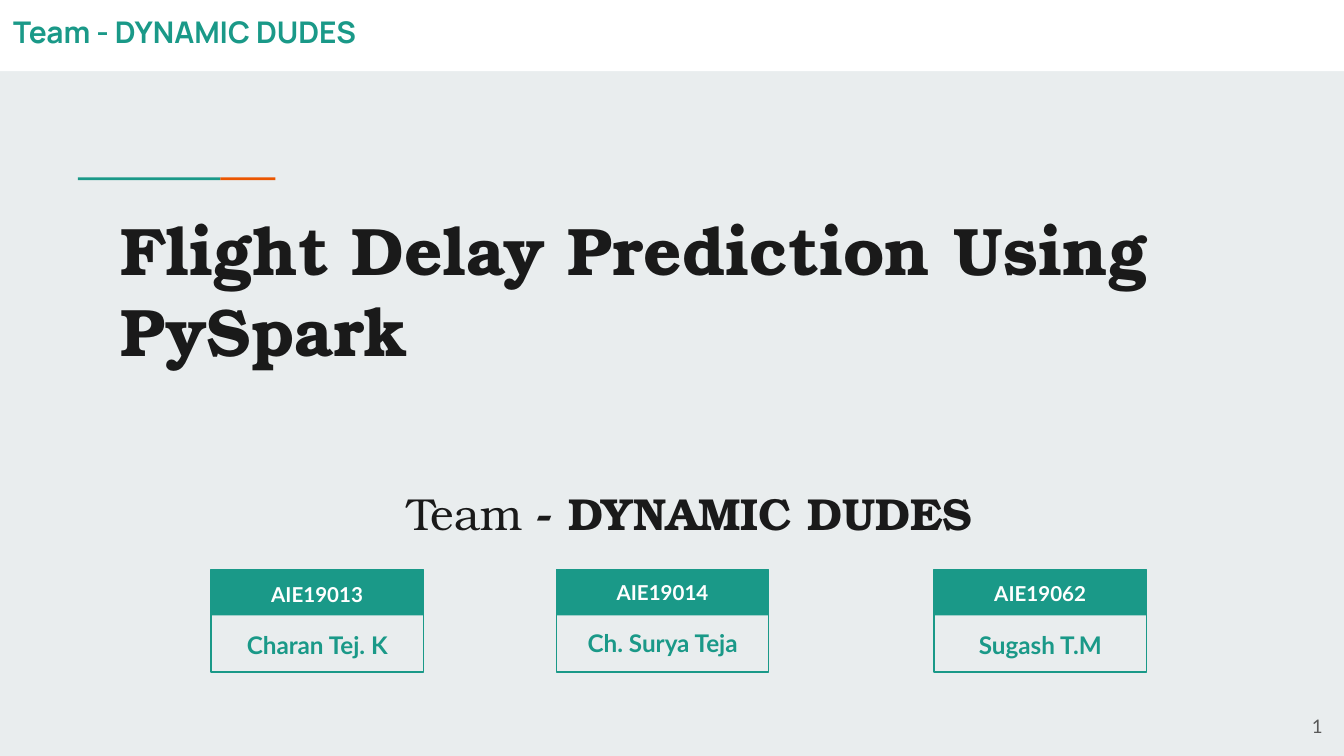
"""Build the title slide of a flight delay prediction project."""
from pptx import Presentation
from pptx.dml.color import RGBColor
from pptx.enum.shapes import MSO_SHAPE
from pptx.enum.text import MSO_ANCHOR, PP_ALIGN
from pptx.util import Inches, Pt

RECT = MSO_SHAPE.RECTANGLE
TOP, MIDDLE = MSO_ANCHOR.TOP, MSO_ANCHOR.MIDDLE
LEFT, CENTER, RIGHT = PP_ALIGN.LEFT, PP_ALIGN.CENTER, PP_ALIGN.RIGHT

TEAL, ORANGE, WHITE, INK, GREY = "1A9988", "EB5600", "FFFFFF", "1A1A1A", "595959"
SERIF, SANS, HEADING = "TeX Gyre Bonum", "Lato", "Manrope"

TEAM = "DYNAMIC DUDES"
BARS = [
    ((0, 0, 10, 0.53), WHITE),
    ((0.58, 1.32, 1.06, 0.02), TEAL),
    ((1.64, 1.32, 0.41, 0.02), ORANGE),
]
TEXTS = [
    ((0.8, 1.45, 8.41, 1.82), [("Flight Delay Prediction Using PySpark", True)],
     dict(name=SERIF, size=36, color=INK), {}),
    ((1.57, 3.56, 6.86, 0.56), [("Team ", False), (f"- {TEAM}", True)],
     dict(name=SERIF, size=24, color=INK),
     dict(align=CENTER, spacing=0.9, margins=dict(margin_left=0.36))),
    ((9.34, 5.19, 0.6, 0.43), [("1", False)],
     dict(name=SANS, size=10, color=GREY), dict(align=RIGHT, anchor=MIDDLE)),
    ((0, 0.05, 2.88, 0.37), [(f"Team - {TEAM}", True)],
     dict(name=HEADING, size=16, color=TEAL),
     dict(wrap=False, margins=dict(margin_top=0.05, margin_bottom=0.05))),
]
MEMBERS = [
    (1.57, "AIE19013", 4.32, "Charan Tej. K", 4.69),
    (4.14, "AIE19014", 4.3, "Ch. Surya Teja", 4.68),
    (6.95, "AIE19062", 4.31, "Sugash T.M", 4.69),
]
CARD_TOP, CARD_W, CARD_H, HEADER_H, LABEL_H = 4.24, 1.58, 0.76, 0.34, 0.21


def rgb(value):
    """Turn a hex string into a colour."""
    return RGBColor.from_string(value)


def add_text(s, box, runs, font, align=LEFT, anchor=TOP, spacing=None, wrap=True, margins=None):
    """Add a text box with one paragraph of (text, bold) runs."""
    tf = s.shapes.add_textbox(*map(Inches, box)).text_frame
    tf.word_wrap, tf.vertical_anchor = wrap, anchor
    sides = dict.fromkeys(("margin_left", "margin_top", "margin_right", "margin_bottom"), 0.1)
    for side, value in (sides | (margins or {})).items():
        setattr(tf, side, Inches(value))
    p = tf.paragraphs[0]
    p.alignment, p.line_spacing = align, spacing
    for text, bold in runs:
        r = p.add_run()
        r.text = text
        for key, value in dict(name=font["name"], size=Pt(font["size"]), bold=bold).items():
            setattr(r.font, key, value)
        r.font.color.rgb = rgb(font["color"])


def add_rect(s, box, fill=None, line=None):
    """Add a flat rectangle with an optional fill and outline."""
    sp = s.shapes.add_shape(RECT, *map(Inches, box))
    sp.shadow.inherit = False
    if fill:
        sp.fill.solid()
        sp.fill.fore_color.rgb = rgb(fill)
    else:
        sp.fill.background()
    if line:
        sp.line.color.rgb = rgb(line)
        sp.line.width = Pt(0.75)
    else:
        sp.line.fill.background()


def add_card(s, left, roll, roll_top, name, name_top):
    """Add a member card: roll number on a filled header, name below."""
    add_rect(s, (left, CARD_TOP, CARD_W, CARD_H), line=TEAL)
    add_rect(s, (left, CARD_TOP, CARD_W, HEADER_H), fill=TEAL)
    for text, top, size, color in ((roll, roll_top, 11, WHITE), (name, name_top, 13, TEAL)):
        add_text(s, (left, top, CARD_W, LABEL_H), [(text, True)],
                 dict(name=SANS, size=size, color=color), CENTER, MIDDLE)


def main():
    """Assemble and save the slide."""
    prs = Presentation()
    prs.slide_width = Inches(10)
    prs.slide_height = prs.slide_width * 9 // 16
    s = prs.slides.add_slide(prs.slide_layouts[6])
    s.background.fill.solid()
    s.background.fill.fore_color.rgb = rgb("E9EDEE")
    for box, color in BARS:
        add_rect(s, box, fill=color)
    for box, runs, font, layout in TEXTS:
        add_text(s, box, runs, font, **layout)
    for member in MEMBERS:
        add_card(s, *member)
    prs.save("out.pptx")


if __name__ == "__main__":
    main()
